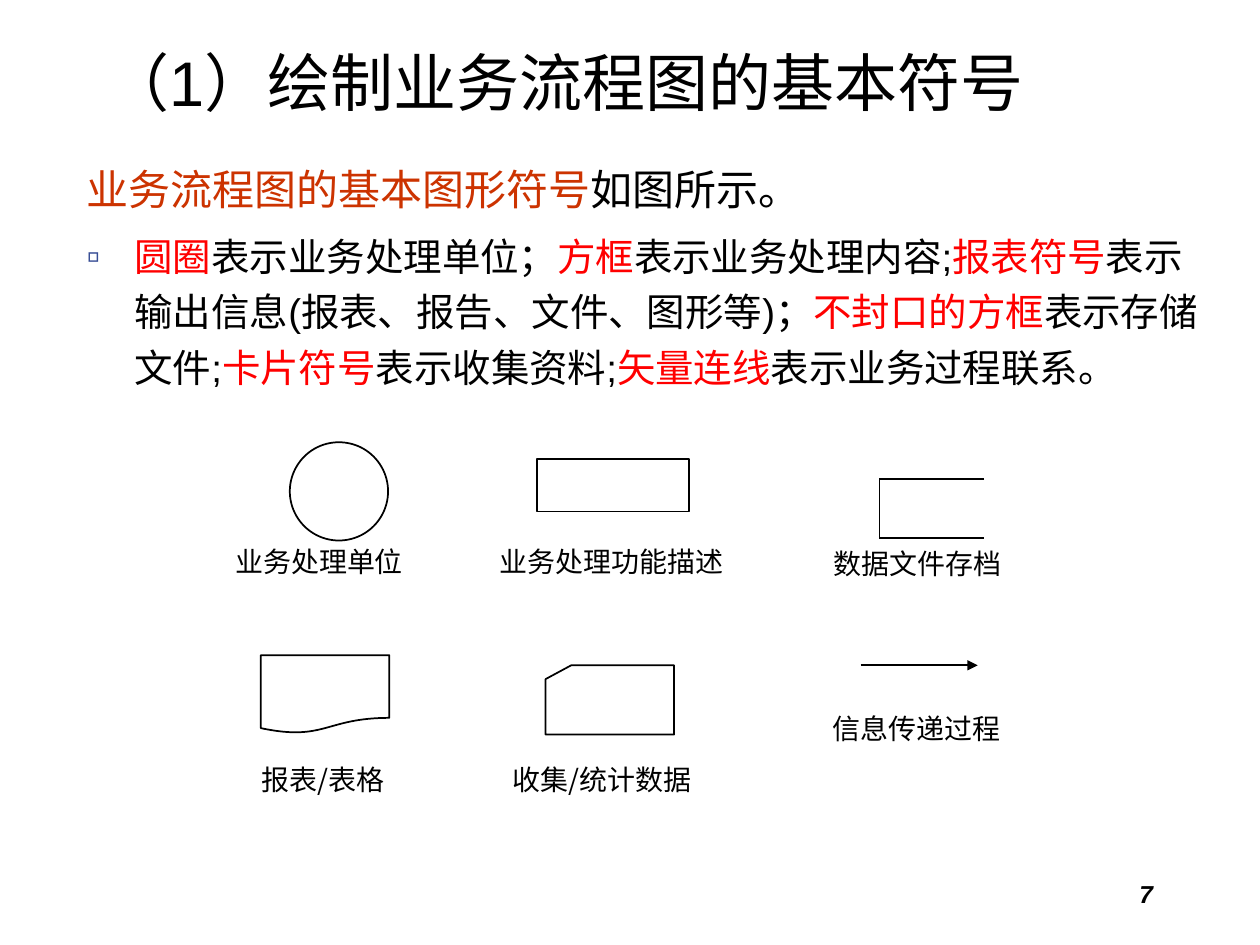
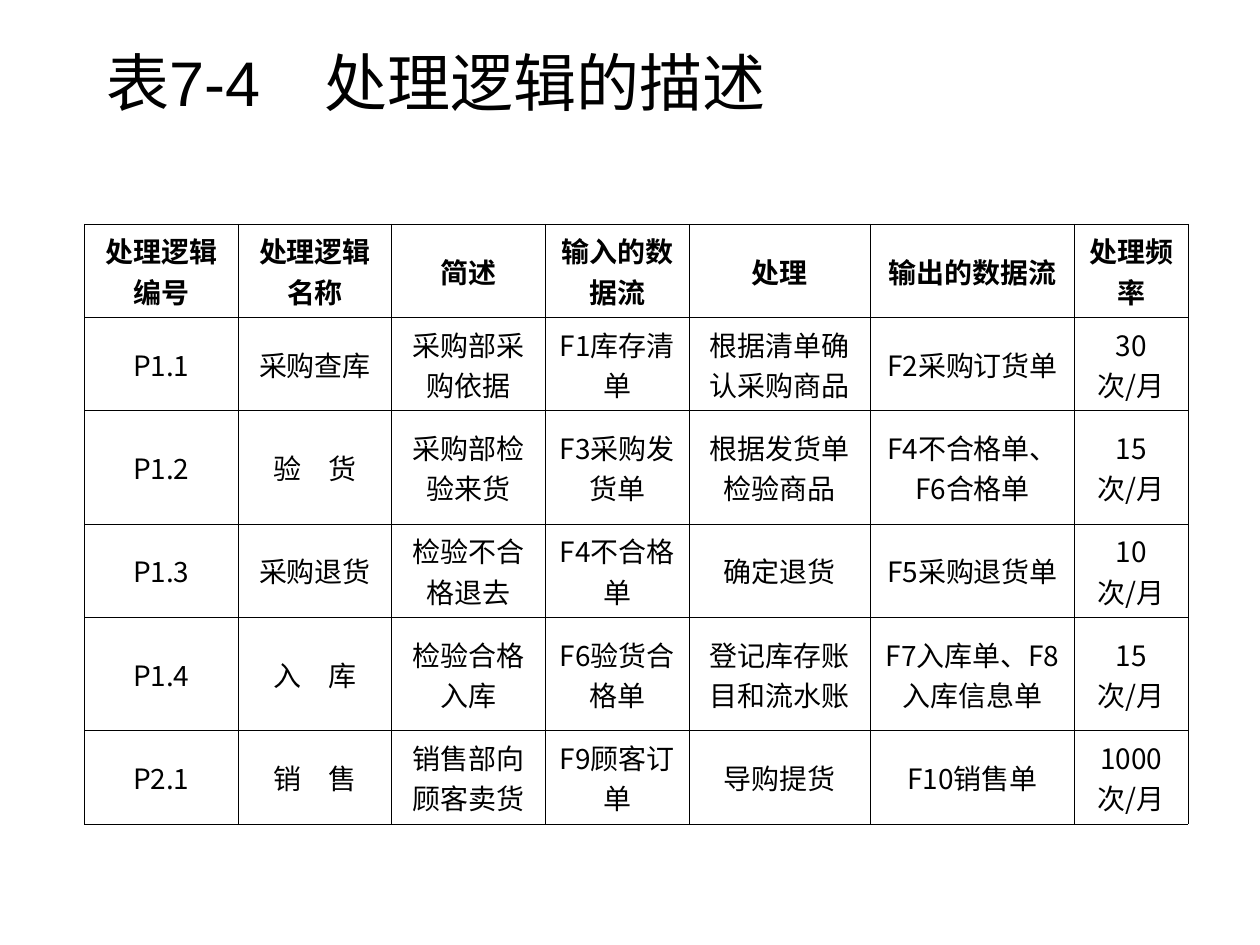
"""Builds two slides: flow chart symbols and a table of processing logic."""
from lxml import etree
from pptx import Presentation
from pptx import util as u
from pptx.dml.color import RGBColor
from pptx.enum import shapes, text
from pptx.oxml import ns

COLORS = {
    "ink": "000000",
    "paper": "FFFFFF",
    "topic": "CC3300",
    "key": "FF0000",
    "bullet": "374D95",
}
LATIN, CHINESE = "Arial", "Noto Sans CJK SC"
SHAPE = shapes.MSO_SHAPE
ALIGN = text.PP_ALIGN

INTRO = [("业务流程图的基本图形符号", "topic"), ("如图所示。", "ink")]
MEANINGS = [
    ("圆圈", "表示业务处理单位；"),
    ("方框", "表示业务处理内容;"),
    ("报表符号", "表示输出信息(报表、报告、文件、图形等)；"),
    ("不封口的方框", "表示存储文件;"),
    ("卡片符号", "表示收集资料;"),
    ("矢量连线", "表示业务过程联系。"),
]
SYMBOLS = [
    (SHAPE.OVAL, (2.3, 3.51, 0.78, 0.78), None),
    (SHAPE.RECTANGLE, (4.26, 3.64, 1.21, 0.42), "paper"),
    (SHAPE.FLOWCHART_DOCUMENT, (2.07, 5.2, 1.02, 0.62), None),
    (SHAPE.FLOWCHART_CARD, (4.33, 5.28, 1.02, 0.55), "paper"),
]
LABELS = [
    ("业务处理单位", 1.77, 4.27, 1.99),
    ("业务处理功能描述", 3.87, 4.27, 2.5),
    ("数据文件存档", 6.52, 4.29, 1.99),
    ("报表/表格", 1.98, 6, 1.41),
    ("收集/统计数据", 3.97, 6, 1.99),
    ("信息传递过程", 6.51, 5.6, 1.99),
]
COLUMN_WIDTHS = [1.22, 1.22, 1.22, 1.14, 1.44, 1.62, 0.9]
ROW_HEIGHTS = [0.74, 0.74, 0.9, 0.74, 0.9, 0.74]
LOGIC_ROWS = [
    ["处理逻辑编号", "处理逻辑名称", "简述", "输入的数据流", "处理", "输出的数据流", "处理频率"],
    ["P1.1", "采购查库", "采购部采购依据", "F1库存清单", "根据清单确认采购商品", "F2采购订货单", "30次/月"],
    ["P1.2", "验　货", "采购部检验来货", "F3采购发货单", "根据发货单检验商品", "F4不合格单、F6合格单", "15次/月"],
    ["P1.3", "采购退货", "检验不合格退去", "F4不合格单", "确定退货", "F5采购退货单", "10次/月"],
    ["P1.4", "入　库", "检验合格入库", "F6验货合格单", "登记库存账目和流水账", "F7入库单、F8入库信息单", "15次/月"],
    ["P2.1", "销　售", "销售部向顾客卖货", "F9顾客订单", "导购提货", "F10销售单", "1000次/月"],
]


def rgb(name):
    """Return a named colour."""
    return RGBColor.from_string(COLORS[name])


def add_xml(parent, tag, **attributes):
    """Append a DrawingML element and return it."""
    return etree.SubElement(parent, ns.qn(f"a:{tag}"), attributes)


def add_span(para, words, size, color="ink", font=LATIN, bold=False, italic=False):
    """Add one formatted run with its Latin and Chinese fonts."""
    span = para.add_run()
    span.text = words
    span.font.size = u.Pt(size)
    span.font.bold = bold
    span.font.italic = italic
    span.font.color.rgb = rgb(color)
    span.font.name = font
    add_xml(span._r.get_or_add_rPr(), "ea", typeface=CHINESE)


def add_box(page, left, top, width, height, anchor=text.MSO_ANCHOR.TOP):
    """Add a wrapping text box and return its text frame."""
    box = page.shapes.add_textbox(*map(u.Inches, (left, top, width, height)))
    frame = box.text_frame
    frame.word_wrap = True
    frame.vertical_anchor = anchor
    return frame


def add_page(deck, title):
    """Add a blank slide with its title."""
    page = deck.slides.add_slide(deck.slide_layouts[6])
    frame = add_box(page, 0.75, 0.3, 8.75, 0.69, text.MSO_ANCHOR.MIDDLE)
    para = frame.paragraphs[0]
    add_span(para, title, 36)
    if "\t" in title:
        stops = add_xml(para._p.get_or_add_pPr(), "tabLst")
        add_xml(stops, "tab", pos=str(u.Inches(1.73)), algn="l")
    return page


def add_page_number(page, number):
    """Add the page number at the lower right."""
    para = add_box(page, 6.92, 6.93, 2.33, 0.52).paragraphs[0]
    para.alignment = ALIGN.RIGHT
    add_span(para, number, 14, bold=True, italic=True)


def add_explanation(page):
    """Add the introduction and the bulleted meaning of each symbol."""
    frame = add_box(page, 0.59, 1.17, 9.06, 2.5)
    intro, meaning = frame.paragraphs[0], frame.add_paragraph()
    for para, space in ((intro, 6), (meaning, 5.5)):
        para.line_spacing = 1.2
        para.space_before = u.Pt(space)
        hang = u.Inches(0.38)
        para._p.get_or_add_pPr().set("marL", str(hang))
        para._p.get_or_add_pPr().set("indent", str(-hang))
    for words, color in INTRO:
        add_span(intro, words, 24, color)
    properties = meaning._p.get_or_add_pPr()
    add_xml(add_xml(properties, "buClr"), "srgbClr", val=COLORS["bullet"])
    add_xml(properties, "buFont", typeface=LATIN)
    add_xml(properties, "buChar", char="▫")
    for symbol, words in MEANINGS:
        add_span(meaning, symbol, 22, "key")
        add_span(meaning, words, 22)


def add_symbol(page, kind, place, fill):
    """Add an outlined flow chart symbol."""
    symbol = page.shapes.add_shape(kind, *map(u.Inches, place))
    symbol.shadow.inherit = False
    symbol.line.color.rgb = rgb("ink")
    symbol.line.width = u.Pt(1)
    if fill:
        symbol.fill.solid()
        symbol.fill.fore_color.rgb = rgb(fill)
    else:
        symbol.fill.background()


def add_line(page, start, end, arrow=False):
    """Add a straight line, with an arrowhead at its end if asked."""
    line = page.shapes.add_connector(
        shapes.MSO_CONNECTOR.STRAIGHT, *map(u.Inches, (*start, *end)))
    line.line.color.rgb = rgb("ink")
    line.line.width = u.Pt(1)
    if arrow:
        add_xml(line.line._get_or_add_ln(), "tailEnd", type="triangle")
    add_xml(line._element.spPr, "effectLst")


def add_open_box(page, left, top, right, bottom):
    """Add a box that is open on its right side."""
    corners = [(right, top), (left, top), (left, bottom), (right, bottom)]
    for start, end in zip(corners, corners[1:]):
        add_line(page, start, end)


def add_label(page, words, left, top, width):
    """Add the caption of a symbol."""
    para = add_box(page, left, top, width, 0.37).paragraphs[0]
    para.space_before = u.Pt(10)
    add_span(para, words, 16, font=CHINESE)


def format_cell(cell, words, bold):
    """Fill in a centred cell with thin borders."""
    cell.vertical_anchor = text.MSO_ANCHOR.MIDDLE
    para = cell.text_frame.paragraphs[0]
    para.alignment = ALIGN.CENTER
    add_span(para, words, 16, font=CHINESE, bold=bold)
    properties = cell._tc.get_or_add_tcPr()
    for side in ("lnL", "lnR", "lnT", "lnB"):
        border = add_xml(properties, side, w=str(u.Pt(0.45)))
        add_xml(add_xml(border, "solidFill"), "srgbClr", val=COLORS["ink"])
    cell.fill.background()


def add_logic_table(page):
    """Add the table that describes the processing logic."""
    place = (0.67, 1.78, sum(COLUMN_WIDTHS), sum(ROW_HEIGHTS))
    table = page.shapes.add_table(
        len(ROW_HEIGHTS), len(COLUMN_WIDTHS), *map(u.Inches, place)).table
    table.horz_banding = False
    table.first_row = False
    for column, width in zip(table.columns, COLUMN_WIDTHS):
        column.width = u.Inches(width)
    for index, (row, height) in enumerate(zip(table.rows, ROW_HEIGHTS)):
        row.height = u.Inches(height)
        for cell, words in zip(row.cells, LOGIC_ROWS[index]):
            format_cell(cell, words, bold=index == 0)


def main():
    """Build and save the deck."""
    deck = Presentation()
    deck.slide_width, deck.slide_height = u.Inches(10), u.Inches(7.5)

    page = add_page(deck, "（1）绘制业务流程图的基本符号")
    add_explanation(page)
    for symbol in SYMBOLS:
        add_symbol(page, *symbol)
    add_open_box(page, 6.98, 3.8, 7.81, 4.27)
    add_line(page, (6.83, 5.28), (7.76, 5.28), arrow=True)
    for label in LABELS:
        add_label(page, *label)
    add_page_number(page, "7")

    page = add_page(deck, "表7-4\t处理逻辑的描述")
    add_logic_table(page)
    deck.save("out.pptx")


if __name__ == "__main__":
    main()
